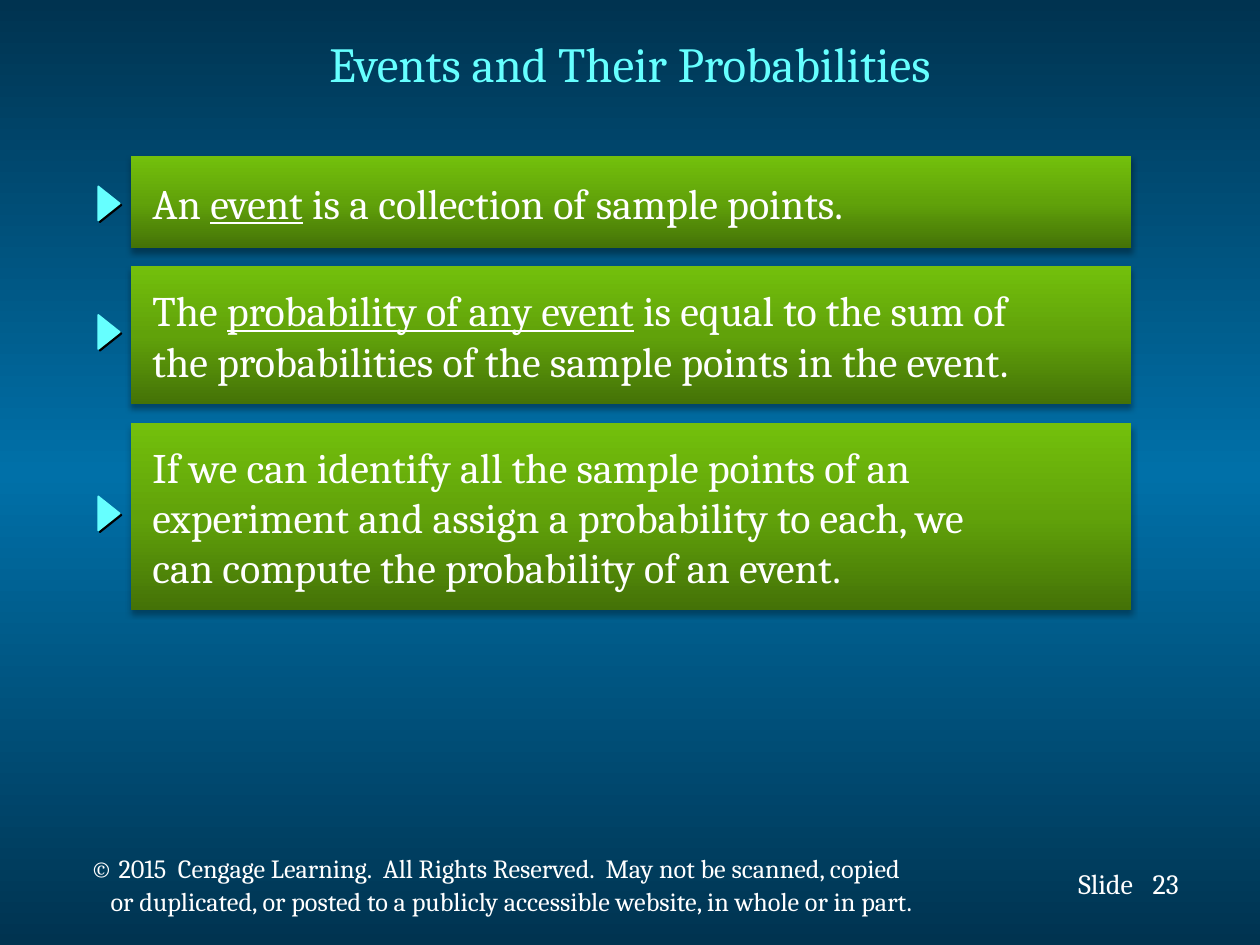
import copy

import pptx
import pptx.dml.color
import pptx.enum.shapes
import pptx.enum.text
import pptx.oxml
import pptx.oxml.ns
import pptx.util

Inches = pptx.util.Inches
Pt = pptx.util.Pt
ALIGN = pptx.enum.text.PP_ALIGN
SHAPE = pptx.enum.shapes.MSO_SHAPE

FONT = "Cambria"
WHITE, CYAN, BLACK = "FFFFFF", "66FFFF", "000000"
BACKGROUND = ["003350", "0070A8", "003350"]
GREEN = ["73C00C", "61A20A", "447207"]

STATEMENTS = [
    (1.24, 0.73, 1.53, [["An ", "_event", " is a collection of sample points."]]),
    (2.11, 1.1, 2.55, [
        ["The ", "_probability of any event", " is equal to the sum of"],
        ["the probabilities of the sample points in the event."]]),
    (3.36, 1.48, 3.99, [
        ["If we can identify all the sample points of an"],
        ["experiment and assign a probability to each, we"],
        ["can compute the probability of an event."]]),
]
COPYRIGHT = [
    ["© 2015  Cengage Learning.  All Rights Reserved.  May not be scanned, copied"],
    ["or duplicated, or posted to a publicly accessible website, in whole or in part."],
]


def rgb(value):
    """Turn a hex string into a colour."""
    return pptx.dml.color.RGBColor.from_string(value)


def set_gradient(element, fill, colors):
    """Fill from top to bottom with evenly spaced colours."""
    fill.gradient()
    fill.gradient_angle = 270
    stops = next(element.iter(pptx.oxml.ns.qn("a:gsLst")))
    while len(stops) < len(colors):
        stops.append(copy.deepcopy(stops[0]))
    for i, (stop, color) in enumerate(zip(fill.gradient_stops, colors)):
        stop.position = i / (len(colors) - 1)
        stop.color.rgb = rgb(color)


def add_shadow(parent, alpha, blur, distance, angle):
    """Append a black outer shadow to shape or run properties."""
    parent.append(pptx.oxml.parse_xml(
        f'<a:effectLst {pptx.oxml.ns.nsdecls("a")}>'
        f'<a:outerShdw blurRad="{Pt(blur)}" dist="{Pt(distance)}" '
        f'dir="{angle * 60000}" algn="ctr" rotWithShape="0">'
        f'<a:srgbClr val="{BLACK}"><a:alpha val="{alpha * 1000}"/></a:srgbClr>'
        '</a:outerShdw></a:effectLst>'))


def write(tf, lines, size, color, align=ALIGN.LEFT, shadow=False):
    """Write lines of runs; a leading underscore marks an underlined run."""
    tf.word_wrap = True
    for i, line in enumerate(lines):
        p = tf.add_paragraph() if i else tf.paragraphs[0]
        p.alignment = align
        for text in line:
            r = p.add_run()
            r.text = text.removeprefix("_")
            r.font.size = Pt(size)
            r.font.color.rgb = rgb(color)
            if text.startswith("_"):
                r.font.underline = True
            if shadow:
                add_shadow(r.font._element, 100, 0, 1.4, 45)
            r.font.name = FONT


def add_text(s, left, top, width, height, lines, size, color=WHITE, **style):
    """Add a text box and return its text frame."""
    sp = s.shapes.add_textbox(Inches(left), Inches(top), Inches(width), Inches(height))
    write(sp.text_frame, lines, size, color, **style)
    return sp.text_frame


def add_statement(s, top, height, lines):
    """Add a green box with left-aligned text."""
    sp = s.shapes.add_shape(SHAPE.RECTANGLE, Inches(1.04), Inches(top),
                            Inches(7.94), Inches(height))
    set_gradient(sp._element, sp.fill, GREEN)
    sp.line.fill.background()
    add_shadow(sp._element.spPr, 32, 3.5, 2.2, 90)
    tf = sp.text_frame
    tf.margin_left = Inches(0.17)
    tf.vertical_anchor = pptx.enum.text.MSO_ANCHOR.MIDDLE
    write(tf, lines, 24, WHITE)


def add_marker(s, top):
    """Add a triangle that points right at a statement."""
    sp = s.shapes.add_shape(SHAPE.ISOSCELES_TRIANGLE, Inches(0.73), Inches(top),
                            Inches(0.27), Inches(0.17))
    sp.rotation = 90
    sp.fill.solid()
    sp.fill.fore_color.rgb = rgb(CYAN)
    sp.line.color.rgb = rgb(CYAN)
    sp.line.width = Pt(1)
    add_shadow(sp._element.spPr, 100, 0, 1.4, 45)


def add_footer(s):
    """Add the slide number and the copyright lines."""
    add_text(s, 9.05, 6.83, 0.6, 0.37, [["23"]], 16, shadow=True)
    add_text(s, 8.46, 6.83, 0.7, 0.37, [["Slide"]], 16, shadow=True)
    tf = add_text(s, 0.62, 6.74, 7.47, 0.6, COPYRIGHT, 15)
    tf.word_wrap = False
    for p in tf.paragraphs:
        p.line_spacing = Pt(16)
    p.space_before = Pt(3)
    p._p.get_or_add_pPr().set("marL", str(Inches(0.16)))


def main():
    """Build the slide and save it."""
    prs = pptx.Presentation()
    prs.slide_width, prs.slide_height = Inches(10), Inches(7.5)
    s = prs.slides.add_slide(prs.slide_layouts[6])
    set_gradient(s.element, s.background.fill, BACKGROUND)
    add_footer(s)
    for top, height, marker_top, lines in STATEMENTS:
        add_statement(s, top, height, lines)
        add_marker(s, marker_top)
    tf = add_text(s, 0.75, 0.15, 8.5, 0.7, [["Events and Their Probabilities"]],
                  28, CYAN, align=ALIGN.CENTER)
    tf.vertical_anchor = pptx.enum.text.MSO_ANCHOR.MIDDLE
    prs.save("out.pptx")


if __name__ == "__main__":
    main()
